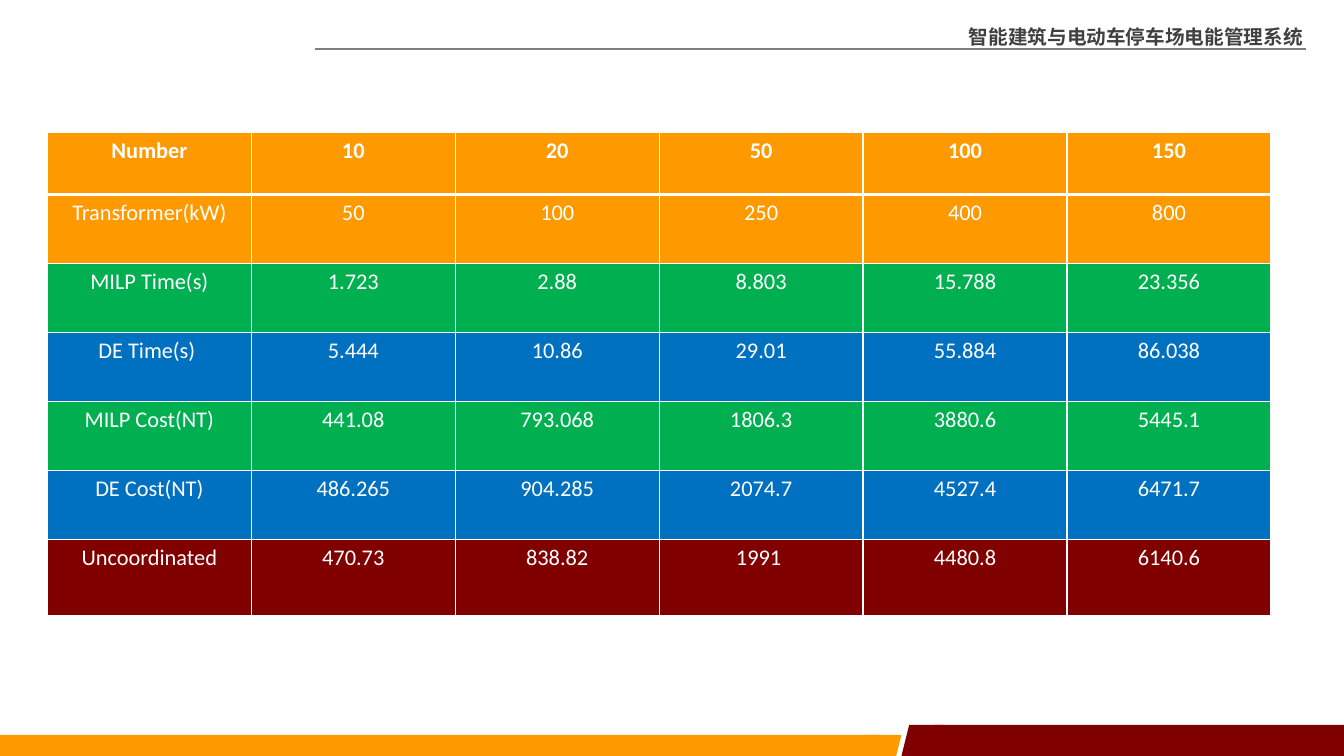
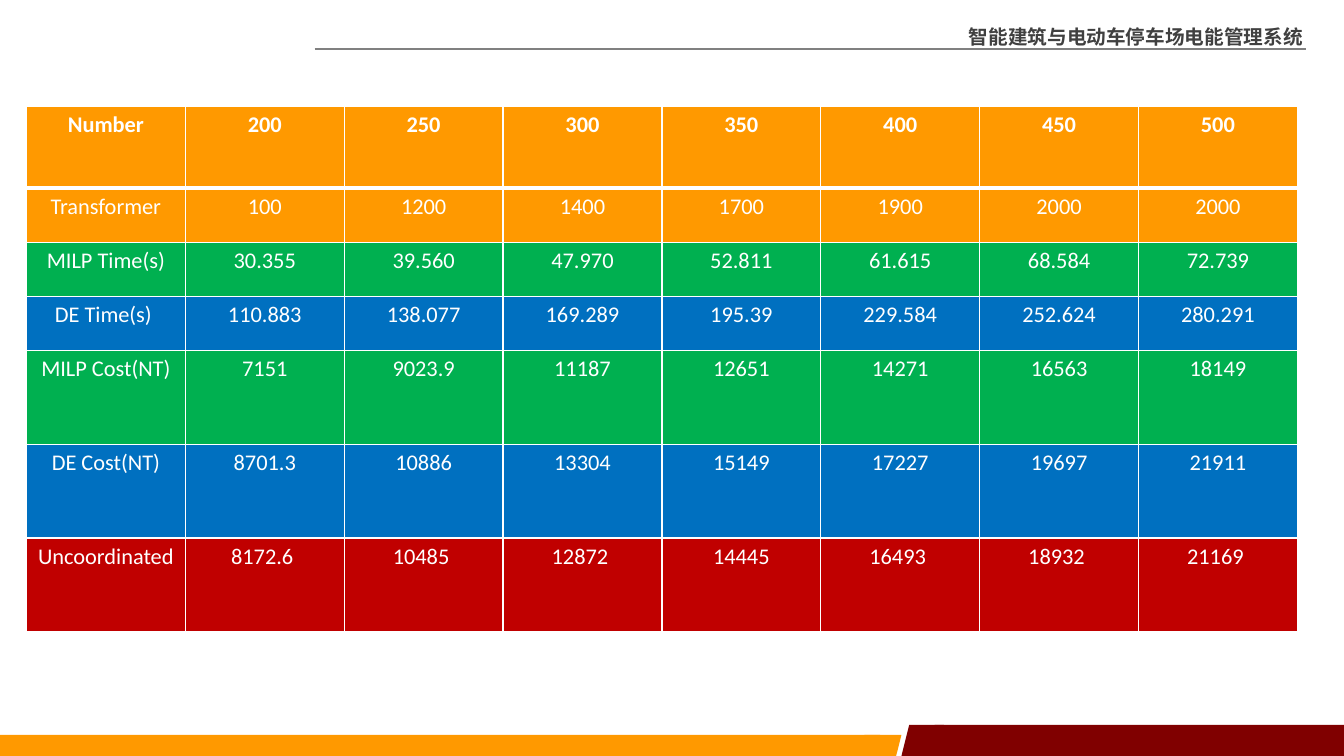
from lxml.etree import SubElement
from pptx import Presentation
from pptx.dml.color import RGBColor
from pptx.enum.shapes import MSO_CONNECTOR, MSO_SHAPE
from pptx.enum.text import MSO_ANCHOR, MSO_AUTO_SIZE, PP_ALIGN
from pptx.oxml.ns import qn
from pptx.util import Inches, Pt

WIDE, HIGH = Inches(13.33), Inches(7.5)
ORANGE = RGBColor(0xFF, 0x99, 0x00)
MAROON = RGBColor(0x80, 0x00, 0x00)
RED = RGBColor(0xC0, 0x00, 0x00)
GREEN = RGBColor(0x00, 0xB0, 0x50)
BLUE = RGBColor(0x00, 0x70, 0xC0)
WHITE = RGBColor(0xFF, 0xFF, 0xFF)
GREY = RGBColor(0x80, 0x80, 0x80)
DARK = RGBColor(0x40, 0x40, 0x40)
LATIN, HAN = "Calibri", "Noto Sans CJK SC"
TITLE = "智能建筑与电动车停车场电能管理系统"
FILLS = [ORANGE, ORANGE, GREEN, BLUE, GREEN, BLUE]

SMALL = [
    ["Number", "10", "20", "50", "100", "150"],
    ["Transformer(kW)", "50", "100", "250", "400", "800"],
    ["MILP Time(s)", "1.723", "2.88", "8.803", "15.788", "23.356"],
    ["DE Time(s) ", "5.444", "10.86", "29.01", "55.884", "86.038"],
    ["MILP Cost(NT)", "441.08", "793.068", "1806.3", "3880.6", "5445.1"],
    ["DE Cost(NT)", "486.265", "904.285", "2074.7", "4527.4", "6471.7"],
    ["Uncoordinated", "470.73", "838.82", "1991 ", "4480.8", "6140.6"],
]
LARGE = [
    ["Number", "200", "250", "300", "350", "400", "450", "500"],
    ["Transformer", "100", "1200", "1400", "1700", "1900", "2000", "2000"],
    ["MILP Time(s)", "30.355", "39.560", "47.970", "52.811", "61.615",
     "68.584", "72.739"],
    ["DE Time(s) ", "110.883", "138.077", "169.289", "195.39", "229.584",
     "252.624", "280.291"],
    ["MILP Cost(NT)", "7151", "9023.9", "11187", "12651", "14271", "16563",
     "18149"],
    ["DE Cost(NT)", "8701.3", "10886", "13304", "15149", "17227", "19697",
     "21911"],
    ["Uncoordinated", "8172.6 ", "10485 ", "12872 ", "14445", "16493 ",
     "18932 ", "21169 "],
]


def across(share):
    """Turn a percentage of the slide's width into a length."""
    return round(WIDE * share / 100)


def down(share):
    """Turn a percentage of the slide's height into a length."""
    return round(HIGH * share / 100)


def write(frame, text, size=16, font=LATIN, color=WHITE, bold=False,
          align=PP_ALIGN.CENTER):
    """Put one formatted run of text into a text frame."""
    para = frame.paragraphs[0]
    para.alignment = align
    run = para.add_run()
    run.text = text
    run.font.size, run.font.name, run.font.bold = Pt(size), font, bold
    run.font.color.rgb = color
    SubElement(run.font._element, qn("a:ea"), typeface=font)


def add_band(slide, kind, left, width, height, color):
    """Draw a plain shape that stands on the bottom edge."""
    band = slide.shapes.add_shape(kind, across(left), HIGH - down(height),
                                  across(width), down(height))
    band.shadow.inherit = False
    band.fill.solid()
    band.fill.fore_color.rgb = color
    band.line.fill.background()


def add_foot(slide):
    """Draw the two slanted bands of the footer."""
    box, slant = MSO_SHAPE.RECTANGLE, MSO_SHAPE.PARALLELOGRAM
    for kind, left, width, height, color in [
            (box, 0, 65.49, 2.8, ORANGE), (slant, 63.92, 3.15, 2.8, ORANGE),
            (slant, 67.07, 3.15, 4.13, MAROON),
            (box, 69.54, 30.46, 4.13, MAROON)]:
        add_band(slide, kind, left, width, height, color)


def add_head(slide):
    """Place the title and the rule below it."""
    title = slide.shapes.title
    title.left, title.top = across(71.34), down(2.53)
    title.width, title.height = across(27.5), down(4.53)
    frame = title.text_frame
    frame.auto_size = MSO_AUTO_SIZE.NONE
    frame.word_wrap = True
    frame.margin_right = frame.margin_top = frame.margin_bottom = 0
    frame.vertical_anchor = MSO_ANCHOR.MIDDLE
    write(frame, TITLE, size=14, font=HAN, color=DARK, bold=True,
          align=PP_ALIGN.LEFT)
    rule = slide.shapes.add_connector(MSO_CONNECTOR.STRAIGHT, across(23.41),
                                      down(6.53), across(97.15), down(6.53))
    rule.line.color.rgb = GREY
    rule.line.width = Pt(1.5)
    SubElement(rule._element.spPr, qn("a:effectLst"))


def add_edge(cell, side, width):
    """Draw a white border on one side of a cell."""
    edge = SubElement(cell._tc.get_or_add_tcPr(), qn(f"a:ln{side}"),
                      w=str(Pt(width)))
    fill = SubElement(edge, qn("a:solidFill"))
    SubElement(fill, qn("a:srgbClr"), val=str(WHITE))


def add_cell(cell, text, row, color):
    """Fill, border and write one table cell."""
    widths = {"L": 1, "R": 1, "T": 3 if row == 1 else 1,
              "B": 3 if row == 0 else 1}
    for side, width in widths.items():
        add_edge(cell, side, width)
    cell.fill.solid()
    cell.fill.fore_color.rgb = color
    write(cell.text_frame, text, bold=row == 0)


def add_grid(slide, data, left, top, width, rows, last):
    """Add a table of equal columns with a colour for each row."""
    count = len(data[0])
    table = slide.shapes.add_table(len(data), count, across(left), down(top),
                                   across(width), down(sum(rows))).table
    for col in table.columns:
        col.width = across(width / count)
    for row, (line, color) in enumerate(zip(data, FILLS + [last])):
        table.rows[row].height = down(rows[row])
        for col, text in enumerate(line):
            add_cell(table.cell(row, col), text, row, color)


def add_page(deck, *grid):
    """Add a slide with the shared frame and one table."""
    slide = deck.slides.add_slide(deck.slide_layouts[5])
    add_foot(slide)
    add_head(slide)
    add_grid(slide, *grid)


def main():
    """Build and save the deck."""
    deck = Presentation()
    deck.slide_width, deck.slide_height = WIDE, HIGH
    add_page(deck, SMALL, 3.53, 17.53, 91.05,
             [8.2] + [9.12] * 5 + [10.05], MAROON)
    add_page(deck, LARGE, 1.97, 14.1, 94.57,
             [10.8] + [7.16] * 3 + [12.4] * 3, RED)
    deck.save("out.pptx")


main()
